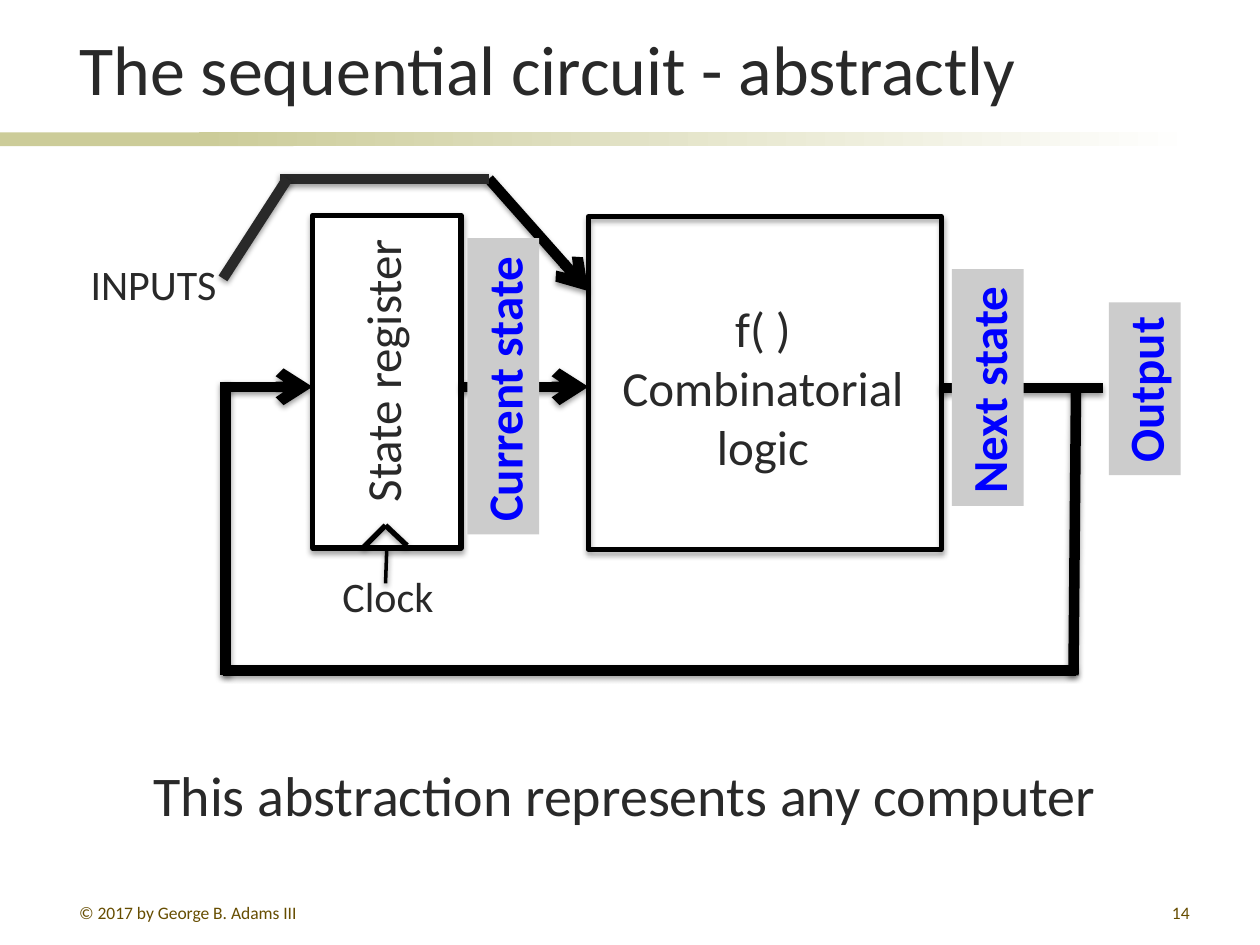
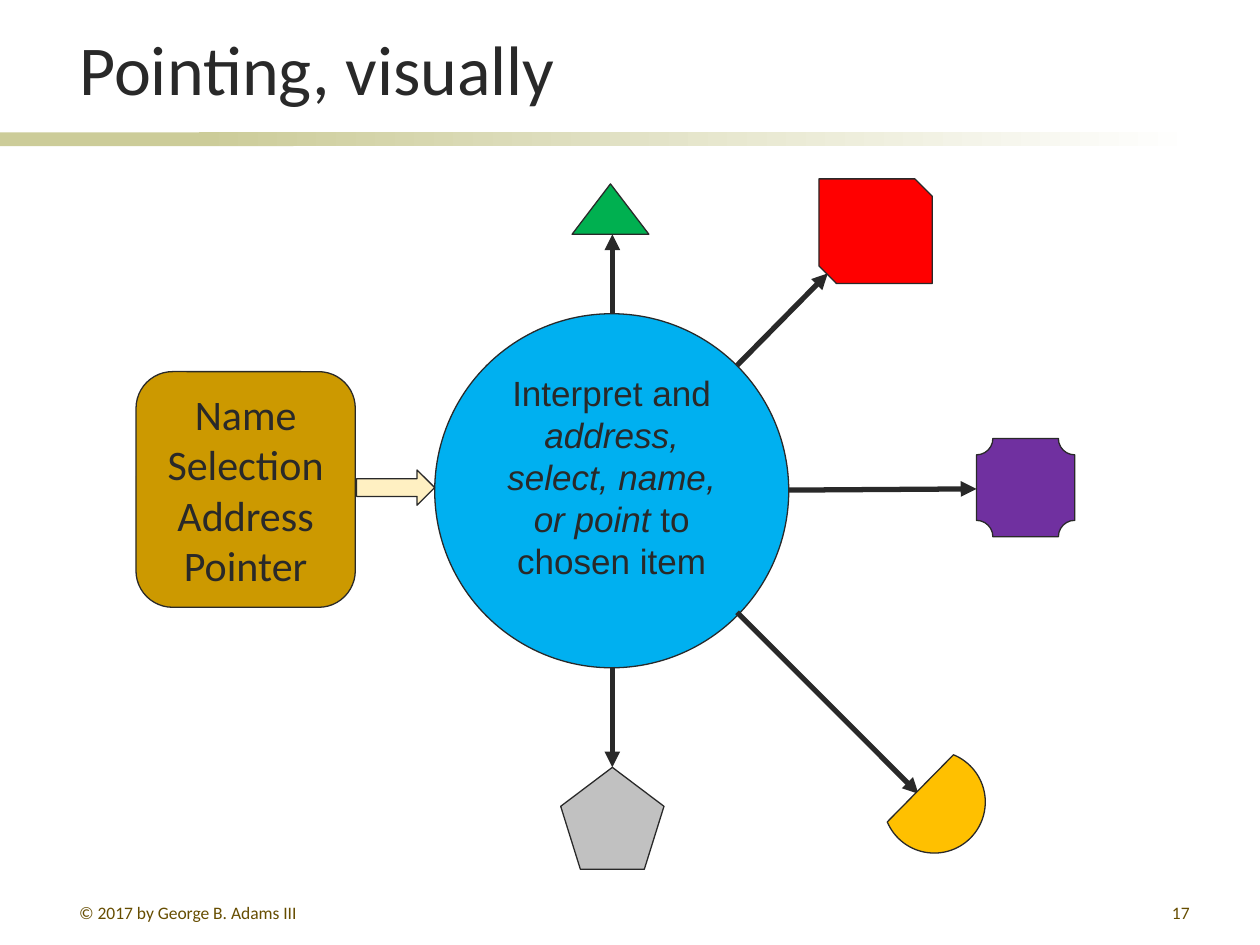
from lxml import etree
from pptx import Presentation
from pptx import oxml, util as u
from pptx.dml.color import RGBColor
from pptx.enum import shapes, text
from pptx.oxml.ns import qn

KIND = shapes.MSO_SHAPE
ALIGN = text.PP_ALIGN
HUES = {
    "ink": "292929", "black": "000000", "white": "FFFFFF", "sand": "CCCC99",
    "brown": "664D00", "grey": "CCCCCC", "blue": "0000FF", "sky": "00B0F0",
    "cream": "FFF0C2", "gold": "CC9900", "green": "00B050", "red": "FF0000",
    "plum": "7030A0", "amber": "FFC000", "stone": "C1C1C1",
}


def hue(name):
    return RGBColor.from_string(HUES[name])


def write(frame, words, size=24, color="ink", font="Calibri", bold=False,
          align=ALIGN.LEFT, anchor=text.MSO_ANCHOR.TOP, wrap=True):
    frame.word_wrap = wrap
    frame.auto_size = text.MSO_AUTO_SIZE.NONE
    frame.vertical_anchor = anchor
    for i, line in enumerate(words.split("\n")):
        para = frame.add_paragraph() if i else frame.paragraphs[0]
        para.alignment = align
        for j, part in enumerate(line.split("*")):
            run = para.add_run()
            run.text = part
            face = run.font
            face.name, face.size = font, u.Pt(size)
            face.bold, face.italic = bold, j % 2 == 1
            face.color.rgb = hue(color)


class Deck:
    def __init__(self):
        self.prs = Presentation()
        self.prs.slide_width = u.Inches(10)
        self.prs.slide_height = u.Inches(7.5)
        self.slide = None

    def start(self, title, number):
        self.slide = self.prs.slides.add_slide(self.prs.slide_layouts[5])
        head = self.slide.shapes.title
        head.left, head.top, head.width, head.height = map(
            u.Inches, (0.53, 0.11, 9.01, 0.81))
        write(head.text_frame, title, size=40, anchor=text.MSO_ANCHOR.BOTTOM)
        self.shape(KIND.RECTANGLE, (0, 1.05, 2.33, 0.11), "sand")
        fade = self.shape(KIND.RECTANGLE, (1.58, 1.05, 7.92, 0.11), "sand")
        fade.fill.gradient()
        fade.fill.gradient_angle = 0
        for stop, name, place in zip(fade.fill.gradient_stops, ("sand", "white"), (0, 1)):
            stop.color.rgb, stop.position = hue(name), place
        self.label("© 2017 by George B. Adams III", (0.53, 7.11, 2.17, 0.21),
                   size=10, color="brown")
        self.label(str(number), (7.46, 7.11, 2.08, 0.21),
                   size=10, color="brown", align=ALIGN.RIGHT)

    def shade(self, props, alpha, drop):
        cast = oxml.parse_xml(
            '<a:outerShdw xmlns:a="http://schemas.openxmlformats.org/drawingml/2006/main"'
            f' blurRad="40000" dist="{drop}" dir="5400000" rotWithShape="0">'
            f'<a:srgbClr val="{HUES["black"]}"><a:alpha val="{alpha}000"/></a:srgbClr>'
            '</a:outerShdw>')
        props.find(qn("a:effectLst")).append(cast)

    def shape(self, kind, box, fill=None, line=None, width=0.75, turn=0, shade=False):
        item = self.slide.shapes.add_shape(kind, *map(u.Inches, box))
        item.rotation = turn
        if fill:
            item.fill.solid()
            item.fill.fore_color.rgb = hue(fill)
        else:
            item.fill.background()
        if line:
            item.line.color.rgb = hue(line)
            item.line.width = u.Pt(width)
        else:
            item.line.fill.background()
        item.shadow.inherit = False
        if shade:
            self.shade(item._element.spPr, 35, 23000)
        return item

    def label(self, words, box, turn=0, **style):
        item = self.slide.shapes.add_textbox(*map(u.Inches, box))
        item.rotation = turn
        write(item.text_frame, words, **style)

    def tag(self, words, box):
        item = self.shape(KIND.RECTANGLE, box, "grey", turn=270)
        write(item.text_frame, words, size=28, color="blue", bold=True, wrap=False)

    def line(self, start, end, color="black", width=6, tip=None, shade=True):
        item = self.slide.shapes.add_connector(
            shapes.MSO_CONNECTOR.STRAIGHT, *map(u.Inches, start + end))
        item.line.color.rgb = hue(color)
        item.line.width = u.Pt(width)
        props = item._element.spPr
        if tip:
            etree.SubElement(props.find(qn("a:ln")), qn("a:tailEnd"), type=tip)
        etree.SubElement(props, qn("a:effectLst"))
        if shade:
            self.shade(props, 38, 20000)


def circuit(deck):
    deck.start("The sequential circuit - abstractly", 14)
    deck.line((3.88, 1.42), (4.67, 2.31), tip="arrow")
    deck.shape(KIND.RECTANGLE, (4.67, 1.72, 2.8, 2.64), None, "black", 3, shade=True)
    deck.shape(KIND.RECTANGLE, (2.48, 1.71, 1.18, 2.64), "white", "black", 3, shade=True)
    deck.label("State register", (1.87, 2.64, 2.32, 0.57), turn=270, size=28, wrap=False)

    for start, end, width in (((2.88, 4.35), (3.06, 4.17), 3),
                              ((3.06, 4.17), (3.23, 4.33), 3),
                              ((3.07, 4.35), (3.06, 4.63), 2)):
        deck.line(start, end, width=width)
    deck.label("Clock", (2.62, 4.48, 0.93, 0.5), wrap=False)
    deck.label("f( )\nCombinatorial logic", (4.67, 2.32, 2.77, 1.51),
               size=28, align=ALIGN.CENTER)

    for start, end, tip in (((3.65, 3.07), (4.67, 3.07), "arrow"),
                            ((8.52, 5.36), (8.54, 3.07), None),
                            ((1.77, 5.32), (8.54, 5.32), None),
                            ((1.79, 3.03), (1.79, 5.36), None),
                            ((1.77, 3.07), (2.48, 3.07), "arrow"),
                            ((7.46, 3.08), (8.75, 3.08), None)):
        deck.line(start, end, tip=tip)

    deck.label("This abstraction represents any computer",
               (1.12, 5.99, 7.76, 0.64), size=32, wrap=False)
    deck.label("INPUTS", (0.62, 2, 1.21, 0.5), wrap=False)
    deck.line((3.88, 1.42), (2.22, 1.42), "ink")
    deck.line((2.28, 1.42), (1.77, 2.21), "ink")
    deck.tag("Current state", (2.82, 2.78, 2.35, 0.57))
    deck.tag("Next state", (6.9, 2.79, 1.88, 0.57))
    deck.tag("Output", (8.4, 2.8, 1.37, 0.57))


def pointing(deck):
    deck.start("Pointing, visually", 17)
    hub = deck.shape(KIND.OVAL, (3.45, 2.49, 2.81, 2.81), "sky", "ink")
    write(hub.text_frame,
          "Interpret and *address, select, name, or point *to chosen item",
          size=20, font="Arial", align=ALIGN.CENTER)
    deck.shape(KIND.RIGHT_ARROW, (2.83, 3.73, 0.62, 0.28), "cream", "ink")
    names = deck.shape(KIND.ROUNDED_RECTANGLE, (1.08, 2.95, 1.74, 1.87), "gold", "ink")
    write(names.text_frame, "Name\nSelection\nAddress\nPointer", align=ALIGN.CENTER)

    for start, end in (((4.86, 2.49), (4.86, 1.86)),
                       ((5.85, 2.9), (6.57, 2.17)),
                       ((6.26, 3.89), (7.75, 3.88)),
                       ((5.85, 4.86), (7.29, 6.3)),
                       ((4.86, 5.29), (4.86, 6.09))):
        deck.line(start, end, "ink", 3, "triangle", shade=False)

    for kind, box, fill, turn in (
            (KIND.ISOSCELES_TRIANGLE, (4.54, 1.46, 0.61, 0.4), "green", 0),
            (KIND.SNIP_2_DIAG_RECTANGLE, (6.5, 1.42, 0.9, 0.83), "red", 0),
            (KIND.PLAQUE, (7.75, 3.48, 0.78, 0.78), "plum", 0),
            (KIND.CHORD, (7.01, 5.96, 0.81, 0.81), "amber", 247.1),
            (KIND.REGULAR_PENTAGON, (4.45, 6.09, 0.82, 0.81), "stone", 0)):
        deck.shape(kind, box, fill, "ink", turn=turn)


def main():
    deck = Deck()
    circuit(deck)
    pointing(deck)
    deck.prs.save("out.pptx")


if __name__ == "__main__":
    main()
